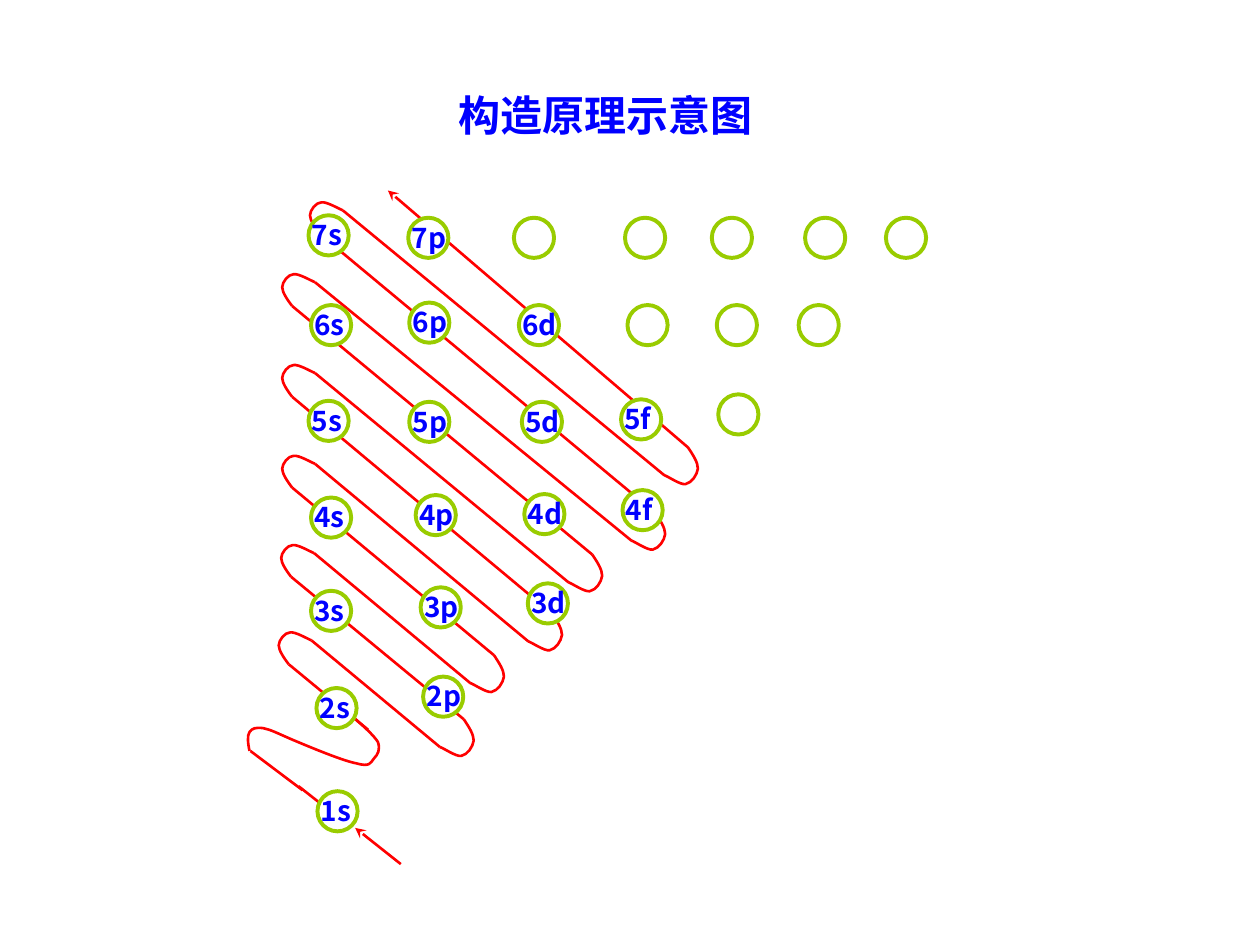
import dataclasses

import lxml.etree
import pptx
import pptx.dml.color
import pptx.enum.shapes
import pptx.enum.text
import pptx.oxml.ns
import pptx.util

Cm = pptx.util.Cm
qn = pptx.oxml.ns.qn


@dataclasses.dataclass(frozen=True)
class Theme:
    """Colours, font and sizes of the slide."""
    ink: str = "0000FF"
    ring: str = "99CC00"
    disc: str = "FFFFFF"
    trail: str = "FF0000"
    font: str = "Noto Sans CJK SC"
    title_size: float = 24
    label_size: float = 16
    ring_width: float = 2.25
    trail_width: float = 1.5


@dataclasses.dataclass(frozen=True)
class Box:
    """A region in centimetres."""
    left: float
    top: float
    width: float
    height: float

    def at(self, x, y):
        """Return a point of the region as slide lengths."""
        return Cm(self.left + x), Cm(self.top + y)


THEME = Theme()
DISC = 0.81

ORBITALS = {
    "2s": (1.38, 10.07), "3s": (1.27, 8.11), "4s": (1.27, 6.23),
    "5s": (1.22, 4.28), "6s": (1.27, 2.35), "7s": (1.22, 0.54),
    "7p": (3.23, 0.59), "6p": (3.25, 2.30), "5p": (3.25, 4.30),
    "4p": (3.38, 6.18), "3p": (3.48, 8.04), "2p": (3.53, 9.84),
    "6d": (5.46, 2.35), "5d": (5.52, 4.30), "4d": (5.57, 6.16),
    "3d": (5.64, 7.96), "5f": (7.52, 4.25), "4f": (7.55, 6.08),
    "1s": (1.40, 12.15),
}
EMPTY_ROWS = {
    0.59: (5.36, 7.60, 9.35, 11.23, 12.86),
    2.35: (7.65, 9.45, 11.10),
    4.15: (9.48,),
}
LEFT_TURNS = [(0.82, 9.59), (0.87, 7.83), (0.89, 6.03),
              (0.89, 4.20), (0.89, 2.37), (1.45, 0.92)]
RIGHT_TURNS = [(4.35, 10.70), (4.96, 9.41), (6.13, 8.57),
               (6.94, 7.38), (8.21, 6.54), (8.87, 5.22)]
LEFT_HOOK = [(0, 0), (-0.1, -0.13), (-0.2, -0.28), (-0.2, -0.38), (-0.2, -0.48),
             (-0.08, -0.64), (0.03, -0.64), (0.13, -0.66), (0.38, -0.51), (0.46, -0.48)]
RIGHT_HOOK = [(0, 0), (0.1, 0.15), (0.2, 0.3), (0.2, 0.43), (0.18, 0.56),
              (0.08, 0.71), (-0.05, 0.74), (-0.15, 0.76), (-0.41, 0.58), (-0.48, 0.56)]
FIRST_BEND = [
    (0.03, 11.34), (0, 11.19), (-0.02, 11.03), (0.03, 10.96), (0.08, 10.88),
    (0.16, 10.86), (0.31, 10.88), (0.46, 10.91), (0.59, 10.98), (0.89, 11.11),
    (1.2, 11.24), (1.91, 11.54), (2.19, 11.59), (2.47, 11.67), (2.47, 11.57),
    (2.54, 11.49), (2.62, 11.41), (2.67, 11.31), (2.62, 11.16), (2.54, 11.03),
    (2.32, 10.83), (2.11, 10.65)]
ENTRY = ((3.08, 13.62), (2.16, 12.89))
FIRST_RISES = [((1.10, 12.13), (0.05, 11.34)), ((1.02, 12.05), (1.73, 12.61)),
               ((2.42, 10.91), LEFT_TURNS[0])]
EXIT = (2.82, 0.04)


def rgb(value):
    """Return a colour object for a hex value."""
    return pptx.dml.color.RGBColor.from_string(value)


def stroke(shape, colour, width):
    """Give a shape or connector a plain outline."""
    shape.line.color.rgb = rgb(colour)
    shape.line.width = pptx.util.Pt(width)


def add_text(shapes, box, text, size, spacing=None):
    """Write one bold line of text in a box."""
    label = shapes.add_textbox(*box.at(0, 0), Cm(box.width), Cm(box.height))
    frame = label.text_frame
    frame.word_wrap = True
    frame.auto_size = pptx.enum.text.MSO_AUTO_SIZE.SHAPE_TO_FIT_TEXT
    line = frame.paragraphs[0]
    line.text = text
    line.line_spacing = spacing
    line.font.name = THEME.font
    line.font.size = pptx.util.Pt(size)
    line.font.bold = True
    line.font.color.rgb = rgb(THEME.ink)
    fonts = line.font._element
    lxml.etree.SubElement(fonts, qn("a:ea")).set("typeface", THEME.font)


def add_trail(shapes, box, start, end, arrow=False):
    """Draw a straight stretch of the filling path."""
    trail = shapes.add_connector(
        pptx.enum.shapes.MSO_CONNECTOR.STRAIGHT, *box.at(*start), *box.at(*end))
    stroke(trail, THEME.trail, THEME.trail_width)
    if arrow:
        outline = trail.line._get_or_add_ln()
        lxml.etree.SubElement(outline, qn("a:tailEnd")).set("type", "stealth")
    lxml.etree.SubElement(trail._element.spPr, qn("a:effectLst"))


def add_bend(shapes, box, points):
    """Draw a chain of cubic curves through start, control and end points."""
    start, *rest = [box.at(*point) for point in points]
    builder = shapes.build_freeform(*start)
    builder.add_line_segments(rest, close=False)
    bend = builder.convert_to_shape()
    bend.shadow.inherit = False
    bend.fill.background()
    stroke(bend, THEME.trail, THEME.trail_width)
    segments = list(bend._element.iter(qn("a:lnTo")))
    outline = segments[0].getparent()
    for first in range(0, len(segments), 3):
        curve = lxml.etree.SubElement(outline, qn("a:cubicBezTo"))
        for segment in segments[first:first + 3]:
            curve.append(segment[0])
            outline.remove(segment)


def shifted(hook, origin):
    """Move a hook so that it starts at the origin."""
    return [(origin[0] + x, origin[1] + y) for x, y in hook]


def add_disc(shapes, box):
    """Draw one orbital ring."""
    disc = shapes.add_shape(pptx.enum.shapes.MSO_SHAPE.OVAL, *box.at(0, 0),
                            Cm(box.width), Cm(box.height))
    disc.shadow.inherit = False
    disc.fill.solid()
    disc.fill.fore_color.rgb = rgb(THEME.disc)
    stroke(disc, THEME.ring, THEME.ring_width)


def draw_path(shapes, box):
    """Draw the winding order in which orbitals fill."""
    climb_ends = LEFT_TURNS[1:] + [EXIT]
    for left, right, climb_end in zip(LEFT_TURNS, RIGHT_TURNS, climb_ends):
        left_hook = shifted(LEFT_HOOK, left)
        right_hook = shifted(RIGHT_HOOK, right)
        add_bend(shapes, box, left_hook)
        add_trail(shapes, box, right_hook[-1], left_hook[-1])
        climb = shapes.add_group_shape().shapes
        add_trail(climb, box, right, climb_end, arrow=climb_end == EXIT)
        add_bend(climb, box, right_hook)
    add_bend(shapes, box, FIRST_BEND)
    add_trail(shapes, box, *ENTRY, arrow=True)
    for start, end in FIRST_RISES:
        add_trail(shapes, box, start, end)


def draw_orbitals(shapes, box):
    """Place the named and the empty orbitals."""
    for name, (x, y) in ORBITALS.items():
        left, top = box.left + x, box.top + y
        orbital = shapes.add_group_shape().shapes
        add_disc(orbital, Box(left, top, DISC, DISC))
        add_text(orbital, Box(left - 0.18, top - 0.28, 1.37, 1.14),
                 name, THEME.label_size, 1.3)
    for y, row in EMPTY_ROWS.items():
        for x in row:
            add_disc(shapes, Box(box.left + x, box.top + y, DISC, DISC))


def main():
    """Build and save the slide."""
    deck = pptx.Presentation()
    deck.slide_width, deck.slide_height = Cm(25.4), Cm(19.05)
    shapes = deck.slides.add_slide(deck.slide_layouts[6]).shapes
    diagram = Box(5, 3.8, 13.7, 13.65)
    draw_path(shapes, diagram)
    add_text(shapes, Box(8.99, 1.68, 11.13, 1.27), "构造原理示意图", THEME.title_size)
    draw_orbitals(shapes, diagram)
    deck.save("out.pptx")


if __name__ == "__main__":
    main()
